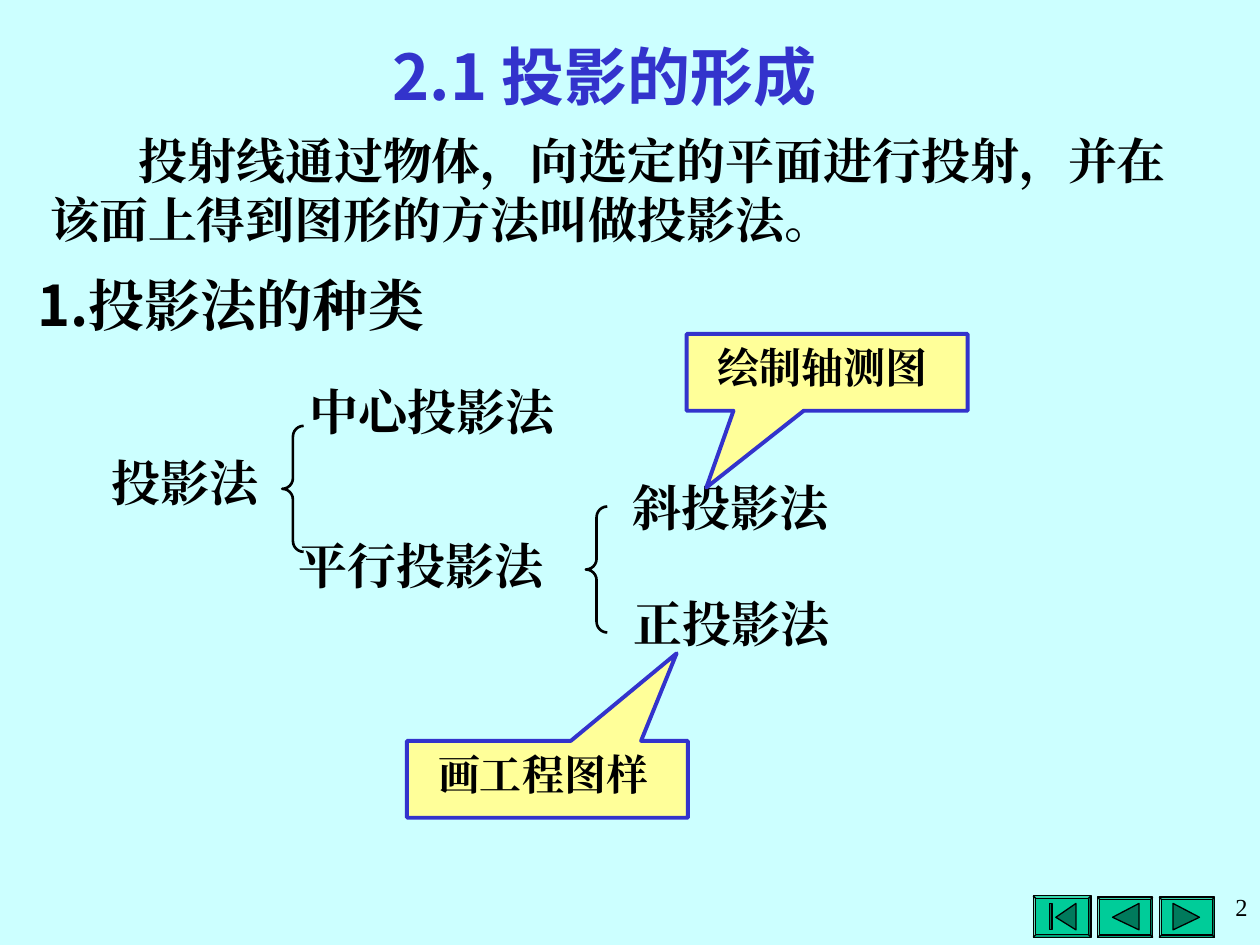
from pptx import Presentation
from pptx.dml.color import RGBColor
from pptx.enum.shapes import MSO_SHAPE
from pptx.enum.text import MSO_ANCHOR, PP_ALIGN
from pptx.util import Emu, Pt
from lxml import etree

LEFT, CENTER, RIGHT = PP_ALIGN.LEFT, PP_ALIGN.CENTER, PP_ALIGN.RIGHT
TOP, MIDDLE = MSO_ANCHOR.TOP, MSO_ANCHOR.MIDDLE
CALLOUT, BEVEL = MSO_SHAPE.RECTANGULAR_CALLOUT, MSO_SHAPE.BEVEL
BRACE = MSO_SHAPE.LEFT_BRACE

BLACK = RGBColor(0x00, 0x00, 0x00)
BLUE = RGBColor(0x33, 0x33, 0xCC)
PALE_CYAN = RGBColor(0xCC, 0xFF, 0xFF)
YELLOW = RGBColor(0xFF, 0xFF, 0x99)
GREEN = RGBColor(0x00, 0xCC, 0x99)
DARK_GREEN = RGBColor(0x00, 0x7A, 0x5C)
SERIF, SANS = "Times New Roman", "Noto Sans CJK SC"
PX = 9144  # 100 px to the inch
DRAWING = "{http://schemas.openxmlformats.org/drawingml/2006/main}"

deck = Presentation()
deck.slide_width, deck.slide_height = Emu(1000 * PX), Emu(750 * PX)
page = deck.slides.add_slide(deck.slide_layouts[6])
page.background.fill.solid()
page.background.fill.fore_color.rgb = PALE_CYAN


def add_text(place, parts, size, color=BLACK, bold=True, align=LEFT, anchor=TOP):
    """Add a one-paragraph text box; parts are (text, font) pairs."""
    box = page.shapes.add_textbox(*(Emu(v * PX) for v in place))
    frame = box.text_frame
    frame.word_wrap = True
    frame.vertical_anchor = anchor
    para = frame.paragraphs[0]
    para.alignment = align
    para.font.size, para.font.bold = Pt(size), bold
    para.font.color.rgb = color
    for text, font in parts:
        span = para.add_run()
        span.text = text
        span.font.name = font
        east_asian = etree.SubElement(span.font._element, DRAWING + "ea")
        east_asian.set("typeface", font)
    return para


def style(shape, fill, line, width):
    shape.shadow.inherit = False
    if fill is None:
        shape.fill.background()
    else:
        shape.fill.solid()
        shape.fill.fore_color.rgb = fill
    shape.line.color.rgb = line
    shape.line.width = Pt(width)


# Navigation buttons: place, triangle base x, tip x
for place, base, tip in (
    ((820, 711, 46, 33), 854, 838),
    ((871, 712, 44, 32), 904, 883),
    ((920, 712, 44, 32), 931, 952),
):
    button = page.shapes.add_shape(BEVEL, *(Emu(v * PX) for v in place))
    button.adjustments[0] = 0.06
    style(button, GREEN, BLACK, 0.75)
    outline = page.shapes.build_freeform(base, 717, scale=PX)
    outline.add_line_segments([(tip, 728), (base, 738)])
    style(outline.convert_to_shape(), DARK_GREEN, BLACK, 0.75)
bar = page.shapes.add_shape(
    MSO_SHAPE.RECTANGLE, Emu(833 * PX), Emu(717 * PX), Emu(2 * PX), Emu(21 * PX))
style(bar, DARK_GREEN, BLACK, 0.75)

# Classification tree
for text, place, anchor in (
    ("投影法", (79, 354, 161, 57), TOP),
    ("中心投影法", (236, 298, 264, 57), TOP),
    ("平行投影法", (227, 420, 239, 57), TOP),
    ("正投影法", (493, 466, 291, 57), MIDDLE),
    ("斜投影法", (492, 374, 307, 57), MIDDLE),
):
    add_text(place, [(text, SERIF)], 28, anchor=anchor)
for left, top in ((224, 338), (465, 402)):
    brace = page.shapes.add_shape(
        BRACE, Emu(left * PX), Emu(top * PX), Emu(17 * PX), Emu(100 * PX))
    brace.adjustments[0] = 0.5
    style(brace, None, BLACK, 1.5)

# Title, heading and definition
add_text((55, 22, 850, 76), [("2.1 投影的形成", SANS)], 36, BLUE,
         align=CENTER, anchor=MIDDLE)
add_text((20, 210, 472, 64), [("1.", SANS), ("投影法的种类", SERIF)], 32)
definition = add_text(
    (30, 99, 941, 104),
    [("投射线通过物体，向选定的平面进行投射，并在该面上得到图形的方法叫做投影法。", SERIF)], 28)
definition._p.get_or_add_pPr().set("indent", str(70 * PX))

# Callouts: text, left, top, pointer offsets
for text, left, top, pointer in (
    ("画工程图样", 323, 588, (0.46, -1.64)),
    ("绘制轴测图", 545, 265, (-0.43, 1.5)),
):
    callout = page.shapes.add_shape(
        CALLOUT, Emu(left * PX), Emu(top * PX), Emu(223 * PX), Emu(61 * PX))
    callout.adjustments[0], callout.adjustments[1] = pointer
    style(callout, YELLOW, BLUE, 2.25)
    add_text((left + 3, top + 1, 210, 50), [(text, SERIF)], 24, align=CENTER)

# Page number
add_text((748, 703, 252, 61), [("2", SERIF)], 14, bold=False, align=RIGHT)

deck.save("out.pptx")
